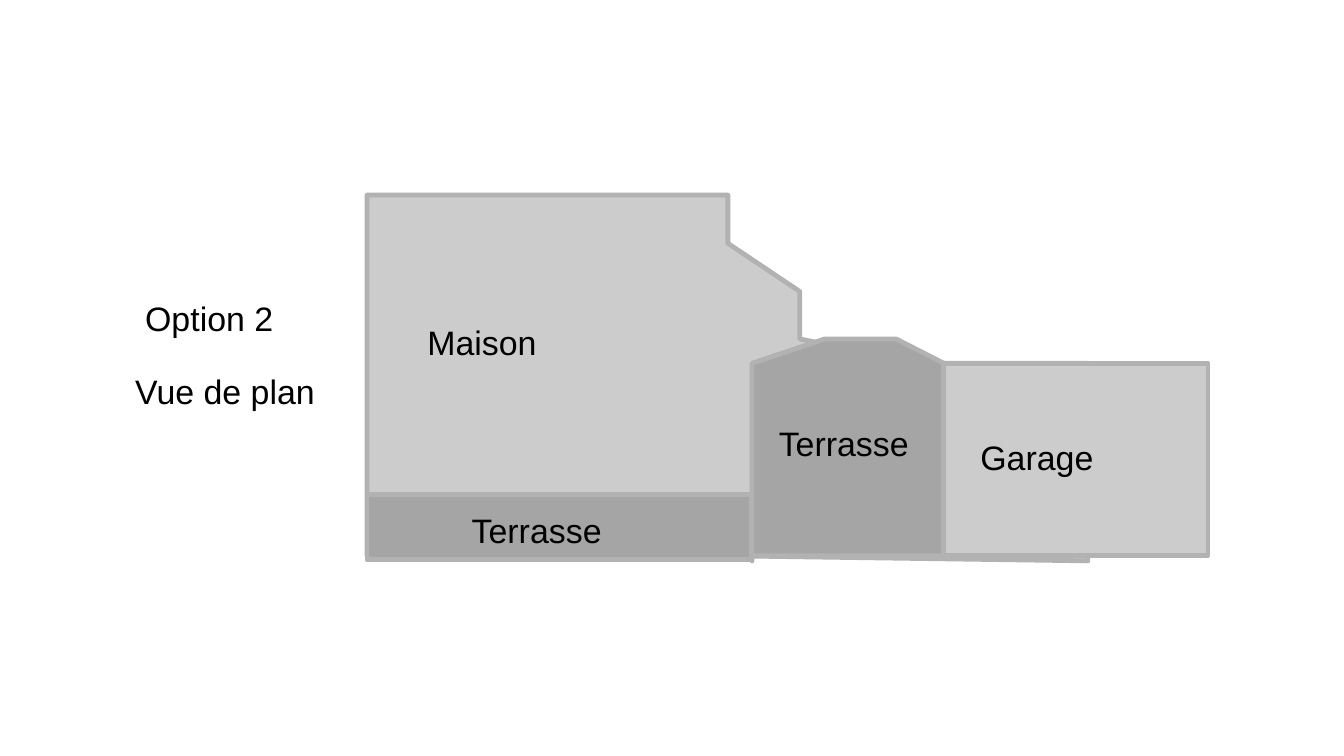
from dataclasses import dataclass

import pptx
import pptx.dml.color
import pptx.enum.shapes
import pptx.enum.text
import pptx.util
from lxml import etree

Pt = pptx.util.Pt
RGB = pptx.dml.color.RGBColor


@dataclass(frozen=True)
class Theme:
    font: str = "Arial"
    text_size: float = 20
    text: RGB = RGB(0x00, 0x00, 0x00)
    building: RGB = RGB(0xCC, 0xCC, 0xCC)
    terrace: RGB = RGB(0xA5, 0xA5, 0xA5)
    wall: RGB = RGB(0xB2, 0xB2, 0xB2)
    wall_width: float = 2.83


THEME = Theme()
LABEL_WIDTH, LABEL_HEIGHT = 150, 31

# Outlines in points from the top left corner of the plan
HOUSE = [(213, 213), (0, 213), (0, 0), (213, 0), (213, 28.5), (255.5, 57),
         (255.5, 85), (326, 99.3), (425.5, 99.3), (425.5, 216)]
SIDE_TERRACE = [(227.3, 213), (340.5, 213), (340.5, 99.3), (312.5, 85),
                (270, 85), (227.3, 99.3), (227.3, 216)]


def write(holder, words, left, top):
    """Place a text holder and fill it with one left-aligned line."""
    holder.left, holder.top = Pt(left), Pt(top)
    holder.width, holder.height = Pt(LABEL_WIDTH), Pt(LABEL_HEIGHT)
    frame = holder.text_frame
    frame.word_wrap = True
    frame.auto_size = pptx.enum.text.MSO_AUTO_SIZE.NONE
    frame.vertical_anchor = pptx.enum.text.MSO_ANCHOR.TOP
    frame.margin_left = frame.margin_right = Pt(7.2)
    frame.margin_top = frame.margin_bottom = Pt(3.6)
    line = frame.paragraphs[0]
    line.alignment = pptx.enum.text.PP_ALIGN.LEFT
    run = line.add_run()
    run.text = words
    run.font.name = THEME.font
    run.font.size = Pt(THEME.text_size)
    run.font.color.rgb = THEME.text


def add_label(slide, words, left, top):
    write(slide.shapes.add_textbox(0, 0, 0, 0), words, left, top)


def paint(area, fill):
    area.shadow.inherit = False
    area.fill.solid()
    area.fill.fore_color.rgb = fill
    area.line.color.rgb = THEME.wall
    area.line.width = Pt(THEME.wall_width)
    outline = area.line._get_or_add_ln()
    etree.SubElement(outline, pptx.oxml.ns.qn("a:round"))


def add_outline(slide, corners, left, top, fill):
    points = [(Pt(left + x), Pt(top + y)) for x, y in corners]
    builder = slide.shapes.build_freeform(*points[0])
    builder.add_line_segments(points[1:], close=True)
    paint(builder.convert_to_shape(), fill)


def add_room(slide, left, top, width, height, fill):
    room = slide.shapes.add_shape(
        pptx.enum.shapes.MSO_SHAPE.RECTANGLE,
        Pt(left), Pt(top), Pt(width), Pt(height))
    paint(room, fill)


def add_heading(slide, left, top):
    write(slide.shapes.title, "Option 2", left + 5.8, top)
    add_label(slide, "Vue de plan", left, top + 43.2)


def add_floor_plan(slide, left, top):
    add_outline(slide, HOUSE, left, top, THEME.building)
    add_room(slide, left, top + 177, 227, 38.3, THEME.terrace)
    add_outline(slide, SIDE_TERRACE, left, top, THEME.terrace)
    add_room(slide, left + 340.5, top + 99.3, 156, 113.4, THEME.building)
    for words, x, y in [("Maison", 28.5, 71.3), ("Garage", 355, 139),
                        ("Terrasse", 236, 131), ("Terrasse", 54.7, 182.2)]:
        add_label(slide, words, left + x, top + y)


def main():
    deck = pptx.Presentation()
    deck.slide_width, deck.slide_height = Pt(793.44), Pt(446.4)
    slide = deck.slides.add_slide(deck.slide_layouts.get_by_name("Title Only"))
    add_heading(slide, left=72.7, top=172)
    add_floor_plan(slide, left=216.7, top=115.2)
    deck.save("out.pptx")


if __name__ == "__main__":
    main()
